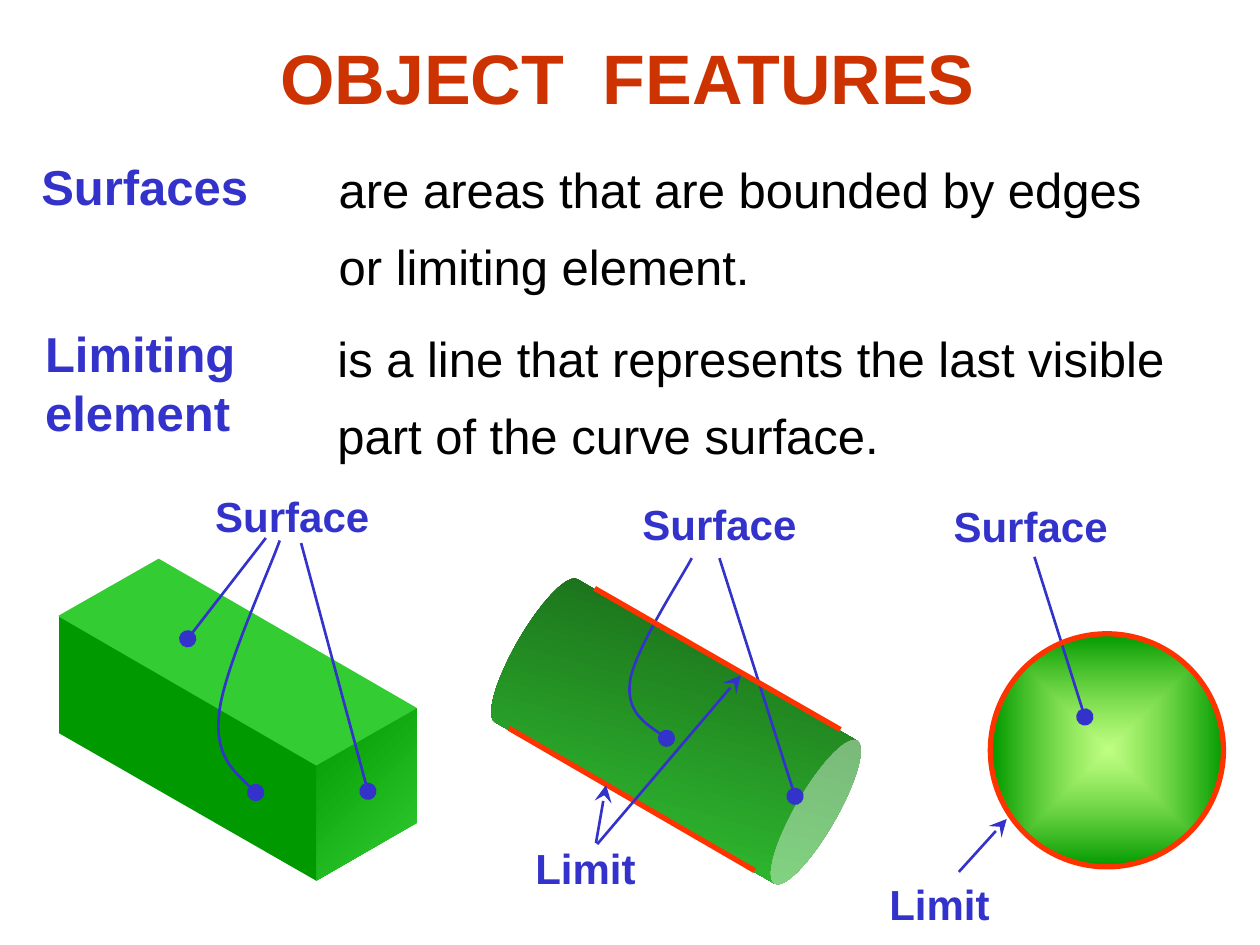
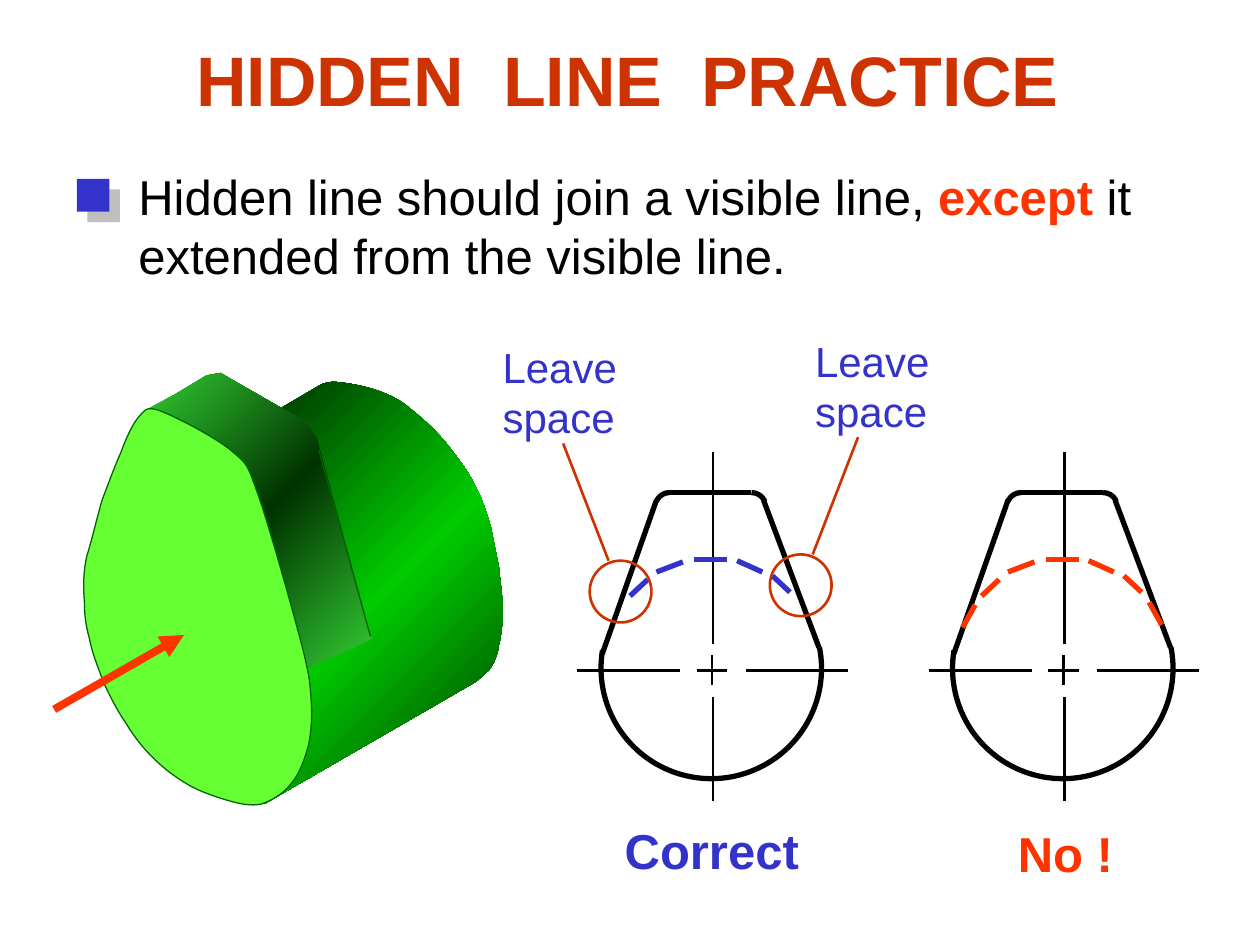
import pptx
import pptx.dml.color
import pptx.enum.shapes
import pptx.enum.text
import pptx.oxml
import pptx.oxml.ns
import pptx.util

Inches = pptx.util.Inches
Pt = pptx.util.Pt
RGBColor = pptx.dml.color.RGBColor
Preset = pptx.enum.shapes.MSO_SHAPE
qn = pptx.oxml.ns.qn
NAMESPACE = pptx.oxml.ns.nsdecls("a")

# Shared look
FONT = "Arial"
TITLE_RED = RGBColor(0xCC, 0x33, 0x00)
BLUE = RGBColor(0x33, 0x33, 0xCC)
RED = RGBColor(0xFF, 0x33, 0x00)
BLACK = RGBColor(0x00, 0x00, 0x00)
GREEN = RGBColor(0x33, 0xCC, 0x33)
DARK_GREEN = RGBColor(0x00, 0x99, 0x00)
DEEP_GREEN = RGBColor(0x00, 0x66, 0x00)
NIGHT_GREEN = RGBColor(0x00, 0x33, 0x00)
MID_GREEN = RGBColor(0x00, 0xCC, 0x00)
CAN_GREEN = RGBColor(0x17, 0x5E, 0x17)
LIME = RGBColor(0x99, 0xFF, 0x33)
BRIGHT_GREEN = RGBColor(0x66, 0xFF, 0x33)
HEADING = {"size": Pt(28), "bold": True}
BODY = {"size": Pt(28), "bold": False}
LABEL = {"size": Pt(24), "bold": True}
NOTE = {"size": Pt(24), "bold": False}
THIN, MEDIUM, THICK, HEAVY = 0.75, 1.5, 3, 4.5
BREAK = None

# Slide 1: text as (box, paragraphs, format, colour, line spacing, wrap)
LIMITING = [("Limiting", HEADING, BLUE), BREAK, ("element", HEADING, BLUE)]
FEATURE_TEXTS = [
    ((0.23, 1.19, 1.97, 0.57), ["Surfaces"], HEADING, BLUE, 1, True),
    ((2.59, 1.08, 6.57, 1.32),
     ["are areas that are bounded by edges", "or limiting element."], BODY, BLACK, 1.3),
    ((0.26, 2.52, 1.79, 1.04), [LIMITING], HEADING, BLUE, 1, True),
    ((2.58, 2.42, 6.76, 1.32),
     ["is a line that represents the last visible", "part of the curve surface."],
     BODY, BLACK, 1.3),
]
SURFACE_LABELS = [(1.61, 3.84), (5, 3.91), (7.47, 3.92)]
LIMIT_LABELS = [(4.15, 6.64), (6.96, 6.92)]

# Outlines: a pair is a straight step, six numbers are a Bezier step
BOX_CORNER = (2.51, 6.07)
BOX_END = [BOX_CORNER, (2.51, 6.99), (3.31, 6.53), (3.31, 5.62)]
BOX_FRONT = [BOX_CORNER, (0.47, 4.89), (0.47, 5.82), (2.51, 6.99)]
BOX_TOP = [BOX_CORNER, (0.47, 4.89), (1.26, 4.44), (3.3, 5.62)]
SPHERE = (7.87, 5.03, 1.85, 1.85)
SPHERE_LIMIT = (7.86, 5.03, 1.85, 1.85)

# Leaders run from the label to the surface and end in a dot
STRAIGHT_LEADERS = [
    (2.11, 4.27, 1.49, 5.07), (2.39, 4.31, 2.92, 6.28),
    (5.71, 4.43, 6.31, 6.32), (8.21, 4.42, 8.61, 5.69),
]
CURVED_LEADERS = [
    [(2.22, 4.29), (2.14, 4.52, 1.77, 5.33, 1.74, 5.66), (1.7, 6, 1.89, 6.15, 2.03, 6.29)],
    [(5.49, 4.43), (5.4, 4.6, 5.03, 5.17, 5, 5.41), (4.97, 5.65, 5.15, 5.76, 5.29, 5.86)],
]
CAN_LIMITS = [(6.67, 5.79, 4.72, 4.67), (5.99, 6.91, 4.04, 5.78)]
LIMIT_ARROWS = [(4.73, 6.69, 4.81, 6.23), (4.74, 6.7, 5.88, 5.36), (7.61, 6.92, 7.99, 6.5)]

# Slide 2: the rule and the solid
RULE = [("Hidden line should join a visible line, ", BODY, BLACK), ("except", HEADING, RED),
        (" it", BODY, BLACK), BREAK, ("extended from the visible line.", BODY, BLACK)]
CYLINDER = [
    (2.21, 3.25), (2.55, 3.05), (2.64, 3.02, 2.65, 3.03, 2.74, 3.04),
    (2.82, 3.05, 2.96, 3.08, 3.05, 3.12), (3.15, 3.16, 3.21, 3.2, 3.3, 3.28),
    (3.39, 3.35, 3.52, 3.48, 3.59, 3.58), (3.67, 3.68, 3.73, 3.77, 3.78, 3.87),
    (3.83, 3.97, 3.87, 4.09, 3.9, 4.2), (3.96, 4.5),
    (3.97, 4.61, 3.99, 4.74, 3.99, 4.85), (3.99, 4.95, 3.98, 5.04, 3.96, 5.12),
    (3.95, 5.2, 3.92, 5.27, 3.88, 5.32), (3.78, 5.41), (2.1, 6.38), (2.34, 6.19),
    (2.43, 5.97), (2.46, 5.64), (2.41, 5.28), (2.91, 5.04), (2.51, 3.5), (2.43, 3.37),
]
RIM = [
    (1.15, 3.26), (1.39, 3.13), (1.64, 2.98), (1.75, 2.96), (2.41, 3.34), (2.51, 3.47),
    (2.95, 5.07), (2.43, 5.31), (2.1, 4.09), (1.99, 3.79), (1.81, 3.57), (1.58, 3.41),
    (1.29, 3.28),
]
FACE = [
    (0.69, 4.41), (0.66, 4.54, 0.66, 4.66, 0.67, 4.77), (0.67, 4.88, 0.68, 4.96, 0.71, 5.07),
    (0.73, 5.18, 0.78, 5.3, 0.82, 5.41), (0.87, 5.52, 0.93, 5.64, 1, 5.74),
    (1.06, 5.84, 1.13, 5.93, 1.21, 6.01), (1.29, 6.09, 1.38, 6.16, 1.48, 6.22),
    (1.58, 6.28, 1.7, 6.32, 1.8, 6.35), (1.9, 6.38, 1.99, 6.4, 2.08, 6.38),
    (2.16, 6.35, 2.25, 6.3, 2.31, 6.22), (2.38, 6.14, 2.42, 6.02, 2.45, 5.91),
    (2.47, 5.8, 2.48, 5.69, 2.47, 5.56), (2.46, 5.42, 2.46, 5.37, 2.39, 5.1),
    (2.32, 4.83, 2.14, 4.19, 2.05, 3.93), (1.96, 3.68, 1.97, 3.69, 1.84, 3.58),
    (1.71, 3.47, 1.4, 3.31, 1.27, 3.26), (1.15, 3.22, 1.15, 3.26, 1.1, 3.31),
    (1.05, 3.37, 1, 3.48, 0.96, 3.59), (0.91, 3.7, 0.86, 3.84, 0.81, 3.97),
    (0.77, 4.11, 0.72, 4.32, 0.69, 4.41),
]

# Slide 2: the drawing used twice, one step apart
DRAWING_STEP = 2.79
# Arcs: left, top, diameter, start and end in clockwise degrees
DRAWING_ARCS = [
    (4.77, 4.43, 1.75, -11, 189.5), (5.85, 3.91, 0.23, -90, -23), (5.2, 3.91, 0.23, 203, 270),
]
DRAWING_EDGES = [(4.78, 5.19, 5.21, 3.97), (6.5, 5.14, 6.06, 3.97), (5.3, 3.91, 5.96, 3.91)]
CENTRE_LINES = [
    (4.58, 5.32, 5.4, 5.32), (5.92, 5.32, 6.73, 5.32), (5.53, 5.32, 5.77, 5.32),
    (5.65, 5.44, 5.65, 5.2), (5.66, 5.53, 5.66, 6.36), (5.66, 5.11, 5.66, 3.59),
]
HIDDEN_DASHES = [
    (5, 4.73, 5.14, 4.6), (6.27, 4.7, 6.13, 4.57), (5.21, 4.54, 5.42, 4.46),
    (5.51, 4.44, 5.77, 4.44), (6.05, 4.54, 5.85, 4.45),
]
TOUCHING_DASHES = [(4.85, 4.98, 4.95, 4.8), (6.43, 4.96, 6.33, 4.78)]
# Gap marks: circle corner, pointer, note corner
GAP_MARKS = [
    ((6.11, 4.4), (6.45, 4.4, 6.81, 3.47), (6.37, 2.61)),
    ((4.68, 4.45), (4.83, 4.45, 4.47, 3.52), (3.89, 2.66)),
]


def add_run(paragraph, text, formats, color):
    run = paragraph.add_run()
    run.text = text
    for name, value in {"name": FONT, **formats}.items():
        setattr(run.font, name, value)
    run.font.color.rgb = color
    return run


def add_text(slide, box, paragraphs, formats, color, spacing=1, wrap=False):
    """Each paragraph is a string or a list of runs and breaks."""
    frame = slide.shapes.add_textbox(*map(Inches, box)).text_frame
    frame.word_wrap = wrap
    frame.auto_size = pptx.enum.text.MSO_AUTO_SIZE.SHAPE_TO_FIT_TEXT
    for index, content in enumerate(paragraphs):
        paragraph = frame.paragraphs[0] if index == 0 else frame.add_paragraph()
        paragraph.line_spacing = spacing
        runs = [(content, formats, color)] if isinstance(content, str) else content
        for run in runs:
            if run is BREAK:
                paragraph.add_line_break()
            else:
                add_run(paragraph, *run)


def add_title_slide(presentation, words, top, height):
    slide = presentation.slides.add_slide(presentation.slide_layouts[5])
    title = slide.shapes.title
    for name, value in zip(("left", "top", "width", "height"), (0.73, top, 8.5, height)):
        setattr(title, name, Inches(value))
    title.text_frame.vertical_anchor = pptx.enum.text.MSO_ANCHOR.MIDDLE
    paragraph = title.text_frame.paragraphs[0]
    paragraph.alignment = pptx.enum.text.PP_ALIGN.CENTER
    formats = {"size": Pt(40), "bold": True}
    for index, word in enumerate(words):
        if index:  # a space widened by tracking
            gap = add_run(paragraph, " ", formats, TITLE_RED)
            gap.font._element.set("spc", "1110")
        add_run(paragraph, word, formats, TITLE_RED)
    return slide


def set_gradient(shape, stops, direction):
    """Stops are (position, colour, opacity) in per cent."""
    shape.fill.gradient()
    stop_xml = "".join(
        f'<a:gs pos="{position * 1000}"><a:srgbClr val="{color}">'
        f'<a:alpha val="{opacity * 1000}"/></a:srgbClr></a:gs>'
        for position, color, opacity in stops)
    if direction == "centre":
        shade = ('<a:path path="rect"><a:fillToRect l="50000" t="50000" '
                 'r="50000" b="50000"/></a:path>')
    else:
        shade = f'<a:lin ang="{direction * 60000}" scaled="1"/>'
    gradient = pptx.oxml.parse_xml(
        f'<a:gradFill {NAMESPACE} rotWithShape="0">'
        f'<a:gsLst>{stop_xml}</a:gsLst>{shade}</a:gradFill>')
    properties = shape.element.spPr
    properties.replace(properties.find(qn("a:gradFill")), gradient)


def style_shape(shape, fill=None, line=None, width=THIN):
    shape.shadow.inherit = False
    if fill is None:
        shape.fill.background()
    elif isinstance(fill, RGBColor):
        shape.fill.solid()
        shape.fill.fore_color.rgb = fill
    else:
        set_gradient(shape, *fill)
    if line is None:
        shape.line.fill.background()
    else:
        shape.line.color.rgb = line
        shape.line.width = Pt(width)
    return shape


def add_preset(slide, preset, box, **style):
    return style_shape(slide.shapes.add_shape(preset, *map(Inches, box)), **style)


def set_end(shape, end, size="lg"):
    if end:
        shape.element.spPr.find(qn("a:ln")).append(pptx.oxml.parse_xml(
            f'<a:tailEnd {NAMESPACE} type="{end}" w="{size}" len="{size}"/>'))


def add_lines(slide, lines, color, width, end=None, size="lg", shift=0):
    for x1, y1, x2, y2 in lines:
        connector = slide.shapes.add_connector(
            pptx.enum.shapes.MSO_CONNECTOR.STRAIGHT,
            *map(Inches, (x1 + shift, y1, x2 + shift, y2)))
        connector.line.color.rgb = color
        connector.line.width = Pt(width)
        set_end(connector, end, size)
        connector.element.spPr.append(pptx.oxml.parse_xml(f"<a:effectLst {NAMESPACE}/>"))


def add_outline(slide, steps, close=True, end=None, **style):
    points = [(Inches(x), Inches(y))
              for step in steps for x, y in zip(step[::2], step[1::2])]
    builder = slide.shapes.build_freeform(*points[0])
    builder.add_line_segments(points[1:], close=close)
    shape = style_shape(builder.convert_to_shape(), **style)
    # Gather the three points of each Bezier step into one curve
    segments = iter(list(shape.element.iter(qn("a:lnTo"))))
    for step in steps[1:]:
        group = [next(segments) for _ in step[::2]]
        if len(group) == 3:
            curve = pptx.oxml.parse_xml(f"<a:cubicBezTo {NAMESPACE}/>")
            group[0].addprevious(curve)
            for segment in group:
                curve.append(segment[0])
                segment.getparent().remove(segment)
    set_end(shape, end)


def build_features(presentation):
    slide = add_title_slide(presentation, ["OBJECT", "FEATURES"], 0.19, 0.83)
    for text in FEATURE_TEXTS:
        add_text(slide, *text)

    # Solids
    add_outline(slide, BOX_END, fill=([(0, GREEN, 100), (100, DARK_GREEN, 100)], 225))
    add_outline(slide, BOX_FRONT, fill=DARK_GREEN)
    add_outline(slide, BOX_TOP, fill=GREEN, line=GREEN)
    can = add_preset(slide, Preset.CAN, (4.71, 4.36, 1.31, 2.89),
                     fill=([(0, CAN_GREEN, 100), (100, GREEN, 100)], 105))
    can.rotation = 120
    add_preset(slide, Preset.OVAL, SPHERE,
               fill=([(0, LIME, 60), (100, DARK_GREEN, 100)], "centre"))

    # Leaders, limits and labels
    add_lines(slide, STRAIGHT_LEADERS, BLUE, MEDIUM, "oval")
    for leader in CURVED_LEADERS:
        add_outline(slide, leader, close=False, line=BLUE, width=MEDIUM, end="oval")
    add_preset(slide, Preset.OVAL, SPHERE_LIMIT, line=RED, width=THICK)
    add_lines(slide, CAN_LIMITS, RED, THICK)
    add_lines(slide, LIMIT_ARROWS, BLUE, MEDIUM, "stealth")
    for word, width, corners in (("Surface", 1.42, SURFACE_LABELS),
                                 ("Limit", 1, LIMIT_LABELS)):
        for corner in corners:
            add_text(slide, (*corner, width, 0.5), [word], LABEL, BLUE)


def build_hidden_line(presentation):
    slide = add_title_slide(presentation, ["HIDDEN", "LINE", "PRACTICE"], 0, 1.25)

    # Solid with its viewing arrow
    for outline, outer, middle in ((CYLINDER, NIGHT_GREEN, MID_GREEN),
                                   (RIM, GREEN, NIGHT_GREEN)):
        stops = [(0, outer, 100), (50, middle, 100), (100, outer, 100)]
        add_outline(slide, outline, fill=(stops, 225))
    add_outline(slide, FACE, fill=BRIGHT_GREEN, line=DEEP_GREEN)
    add_lines(slide, [(2.94, 5.05, 2.53, 3.57)], DEEP_GREEN, THIN)
    add_lines(slide, [(0.43, 5.63, 1.46, 5.04)], RED, HEAVY, "triangle", "med")

    # Rule with its square marker
    add_text(slide, (1, 1.27, 8.08, 1.04), [RULE], BODY, BLACK)
    marker = add_preset(slide, Preset.RECTANGLE, (0.61, 1.42, 0.26, 0.26), fill=BLUE)
    marker.element.spPr.find(qn("a:effectLst")).append(pptx.oxml.parse_xml(
        f'<a:outerShdw {NAMESPACE} dist="{Pt(8.5)}" dir="2700000">'
        '<a:srgbClr val="808080"><a:alpha val="50000"/></a:srgbClr></a:outerShdw>'))

    # Right and wrong drawings
    for shift, color, dashes in ((0, BLUE, HIDDEN_DASHES),
                                 (DRAWING_STEP, RED, HIDDEN_DASHES + TOUCHING_DASHES)):
        for left, top, diameter, start, end in DRAWING_ARCS:
            arc = add_preset(slide, Preset.ARC, (left + shift, top, diameter, diameter),
                             line=BLACK, width=THICK)
            for index, angle in enumerate((start, end)):
                arc.adjustments[index] = angle % 360 * 0.6 * 100 / 100
        add_lines(slide, DRAWING_EDGES, BLACK, THICK, shift=shift)
        add_lines(slide, CENTRE_LINES, BLACK, MEDIUM, shift=shift)
        add_lines(slide, dashes, color, THICK, shift=shift)
    add_text(slide, (4.86, 6.46, 1.58, 0.57), ["Correct"], HEADING, BLUE)
    add_text(slide, (7.98, 6.49, 0.96, 0.57), ["No !"], HEADING, RED)

    # Gap marks
    for circle, pointer, note in GAP_MARKS:
        add_preset(slide, Preset.OVAL, (*circle, 0.49, 0.49), line=TITLE_RED, width=MEDIUM)
        add_lines(slide, [pointer], TITLE_RED, MEDIUM)
        add_text(slide, (*note, 1.11, 0.9), ["Leave", "space"], NOTE, BLUE)


def main():
    presentation = pptx.Presentation()
    presentation.slide_width, presentation.slide_height = Inches(10), Inches(7.5)
    build_features(presentation)
    build_hidden_line(presentation)
    presentation.save("out.pptx")


if __name__ == "__main__":
    main()
